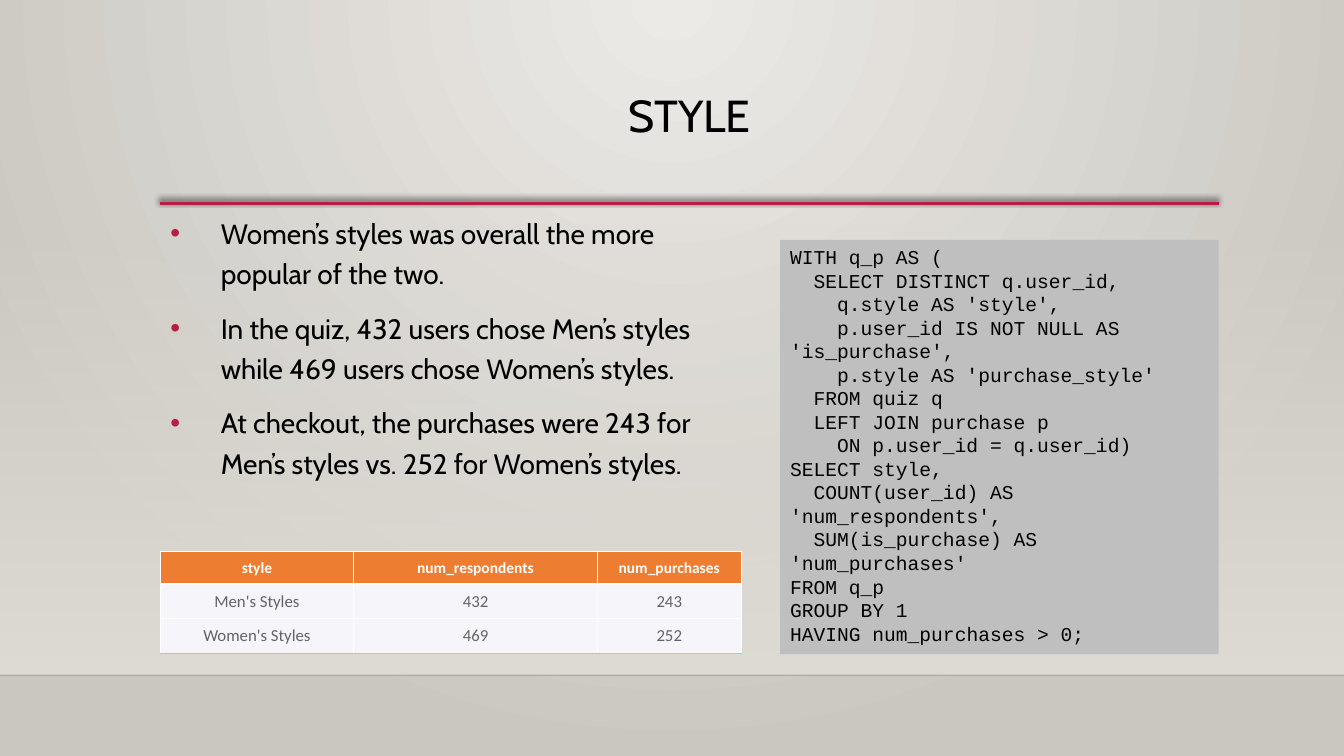
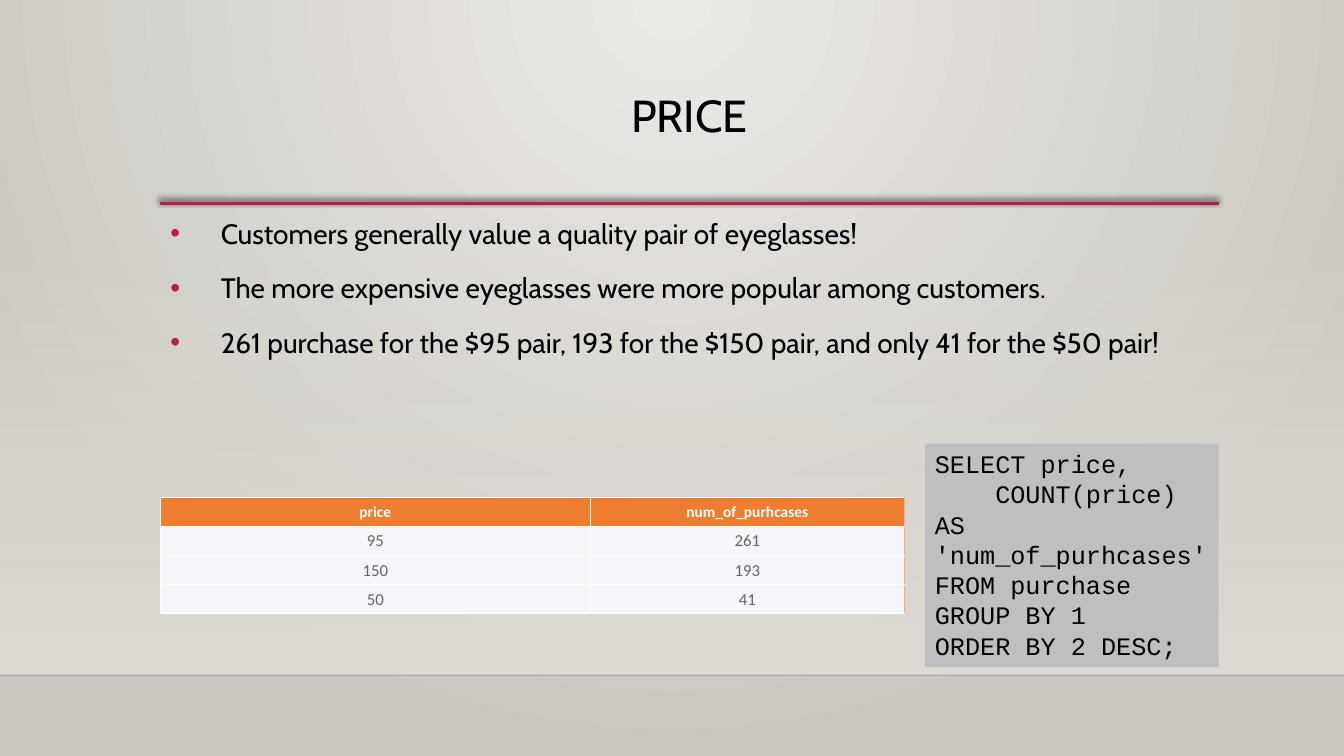
"""Build two slides of quiz and sales findings, each with a table and its query."""
from dataclasses import dataclass

import pptx
import pptx.dml.color
import pptx.enum.shapes
import pptx.enum.text
import pptx.oxml
import pptx.oxml.ns
import pptx.presentation
import pptx.shapes.base
import pptx.shapes.connector
import pptx.slide
import pptx.table
import pptx.text.text
import pptx.util

Pt = pptx.util.Pt
qn = pptx.oxml.ns.qn
ALIGN = pptx.enum.text.PP_ALIGN
ANCHOR = pptx.enum.text.MSO_ANCHOR
FIT = pptx.enum.text.MSO_AUTO_SIZE
SPACE = pptx.oxml.ns.nsdecls("a")

HEX = {
    "light": "ECEAE7", "dark": "CAC7C1", "band": "DFDBD5",
    "red": "B71E42", "black": "000000", "white": "FFFFFF",
    "code": "BFBFBF", "head": "ED7D31", "row": "F6F5FA",
    "grey": "646466", "peach": "F4B084",
}
WIDE, HIGH = 960, 540
LEFT, SPAN = 114.5, 756
FLOOR = 482.4
RULE = 145.4


@dataclass(frozen=True)
class Box:
    left: float
    top: float
    width: float
    height: float


@dataclass(frozen=True)
class Code:
    box: Box
    size: int
    lines: list[tuple[int, str]]


@dataclass(frozen=True)
class Grid:
    top: float
    cols: list[float]
    rows: list[float]
    cells: list[list[str]]
    edge: str


@dataclass(frozen=True)
class Page:
    title: str
    body: Box
    points: list[str]
    code: Code
    grid: Grid


PAGES = [
    Page(
        "STYLE",
        Box(LEFT, 146.2, 392.4, 199.4),
        [
            "Women’s styles was overall the more popular of the two.",
            "In the quiz, 432 users chose Men’s styles while 469 users chose Women’s styles.",
            "At checkout, the purchases were 243 for Men’s styles vs. 252 for Women’s styles.",
        ],
        Code(Box(557.2, 171.4, 313.3, 295.9), 14, [
            (0, "WITH q_p AS ("),
            (2, "SELECT DISTINCT q.user_id,"),
            (4, "q.style AS 'style',"),
            (4, "p.user_id IS NOT NULL AS 'is_purchase',"),
            (4, "p.style AS 'purchase_style'"),
            (2, "FROM quiz q"),
            (2, "LEFT JOIN purchase p"),
            (4, "ON p.user_id = q.user_id)"),
            (0, "SELECT style,"),
            (2, "COUNT(user_id) AS 'num_respondents',"),
            (2, "SUM(is_purchase) AS 'num_purchases'"),
            (0, "FROM q_p"),
            (0, "GROUP BY 1"),
            (0, "HAVING num_purchases > 0;"),
        ]),
        Grid(393.8, [138.2, 174, 102.8], [23.4, 24.6, 24.6], [
            ["style", "num_respondents", "num_purchases"],
            ["Men's Styles", "432", "243"],
            ["Women's Styles", "469", "252"],
        ], "B"),
    ),
    Page(
        "PRICE",
        Box(LEFT, 146.2, SPAN, 112.3),
        [
            "Customers generally value a quality pair of eyeglasses!",
            "The more expensive eyeglasses were more popular among customers.",
            "261 purchase for the $95 pair, 193 for the $150 pair, and only 41 for the $50 pair!",
        ],
        Code(Box(660.6, 316.8, 209.9, 159.8), 18, [
            (0, "SELECT price,"),
            (4, "COUNT(price) AS 'num_of_purhcases'"),
            (0, "FROM purchase"),
            (0, "GROUP BY 1"),
            (0, "ORDER BY 2 DESC;"),
        ]),
        Grid(355.6, [307.2, 224.4], [20.2, 20.9, 20.9, 20.5], [
            ["price", "num_of_purhcases"],
            ["95", "261"],
            ["150", "193"],
            ["50", "41"],
        ], "R"),
    ),
]


def tint(name: str) -> pptx.dml.color.RGBColor:
    return pptx.dml.color.RGBColor.from_string(HEX[name])


def node(text: str):
    head, tail = text.split(">", 1)
    slash = "/" if head.endswith("/") else ""
    return pptx.oxml.parse_xml(f"{head.rstrip('/')} {SPACE}{slash}>{tail}")


def place(shape: pptx.shapes.base.BaseShape, box: Box) -> None:
    shape.left, shape.top = Pt(box.left), Pt(box.top)
    shape.width, shape.height = Pt(box.width), Pt(box.height)


def style(para: pptx.text.text._Paragraph, face: str, size: float,
          color: str = "black", bold: bool = False) -> None:
    for run in para.runs:
        run.font.name, run.font.size = face, Pt(size)
        run.font.bold = bold
        run.font.color.rgb = tint(color)


def blend(root, first: str, last: str, alpha: int, way: str) -> None:
    old = root.find(".//" + qn("a:gradFill"))
    new = node(
        f'<a:gradFill rotWithShape="1"><a:gsLst><a:gs pos="0"><a:srgbClr val="{HEX[first]}">'
        f'<a:alpha val="{alpha * 1000}"/></a:srgbClr></a:gs>'
        f'<a:gs pos="100000"><a:srgbClr val="{HEX[last]}"/></a:gs></a:gsLst>{way}</a:gradFill>')
    old.getparent().replace(old, new)


def stroke(slide: pptx.slide.Slide, left: float, right: float, top: float,
           color: str, width: float, effect: str) -> pptx.shapes.connector.Connector:
    line = slide.shapes.add_connector(
        pptx.enum.shapes.MSO_CONNECTOR.STRAIGHT, Pt(left), Pt(top), Pt(right), Pt(top))
    line.line.color.rgb = tint(color)
    line.line.width = Pt(width)
    line.element.spPr.append(node(effect))
    return line


def frame(slide: pptx.slide.Slide, master: pptx.slide.SlideMaster) -> None:
    master.background.fill.gradient()
    blend(master.element, "light", "dark", 100,
          '<a:path path="circle"><a:fillToRect l="43000" r="43000" b="100000"/></a:path>')
    band = slide.shapes.add_shape(
        pptx.enum.shapes.MSO_SHAPE.RECTANGLE, 0, Pt(159), Pt(WIDE), Pt(FLOOR - 159))
    band.shadow.inherit = False
    band.line.fill.background()
    band.fill.gradient()
    blend(band.element, "band", "band", 0, '<a:lin ang="5400000" scaled="0"/>')
    floor = stroke(slide, 0, WIDE, FLOOR, "black", 1, "<a:effectLst/>")
    floor.element.find(".//" + qn("a:srgbClr")).append(node('<a:alpha val="20000"/>'))
    rule = stroke(
        slide, LEFT, LEFT + SPAN, RULE, "red", 2.5,
        f'<a:effectLst><a:outerShdw blurRad="{Pt(4)}" dist="{Pt(3)}" dir="14700000">'
        f'<a:srgbClr val="{HEX["black"]}"><a:alpha val="60000"/></a:srgbClr>'
        '</a:outerShdw></a:effectLst>')
    for spot, shape in enumerate((band, floor, rule), 2):
        master.shapes.element.insert(spot, shape.element)


def draw_title(slide: pptx.slide.Slide, text: str) -> None:
    title = slide.shapes.title
    place(title, Box(LEFT, 63.4, SPAN, 82.8))
    title.text_frame.text = text
    title.text_frame.auto_size = FIT.NONE
    title.text_frame.vertical_anchor = ANCHOR.TOP
    para = title.text_frame.paragraphs[0]
    para.alignment, para.line_spacing = ALIGN.CENTER, 0.9
    style(para, "Cabin", 32)


def draw_list(slide: pptx.slide.Slide, box: Box, points: list[str]) -> None:
    body = slide.placeholders[1]
    place(body, box)
    body.text_frame.text = "\n".join(points)
    body.text_frame.auto_size = FIT.NONE
    for para in body.text_frame.paragraphs:
        para.line_spacing = 1.2
        para.space_before, para.space_after = Pt(10), Pt(0)
        style(para, "Cabin", 20)
        props = para._p.get_or_add_pPr()
        props.set("marL", str(Pt(36)))
        props.set("indent", str(Pt(-36)))
        props.append(node(f'<a:buClr><a:srgbClr val="{HEX["red"]}"/></a:buClr>'))
        props.append(node('<a:buFont typeface="Arial"/>'))
        props.append(node('<a:buChar char="•"/>'))


def draw_code(slide: pptx.slide.Slide, code: Code) -> None:
    box = slide.shapes.add_textbox(0, 0, 0, 0)
    place(box, code.box)
    box.fill.solid()
    box.fill.fore_color.rgb = tint("code")
    box.text_frame.text = "\n".join(text for _, text in code.lines)
    box.text_frame.word_wrap = True
    box.text_frame.auto_size = FIT.SHAPE_TO_FIT_TEXT
    for para, (depth, _) in zip(box.text_frame.paragraphs, code.lines):
        style(para, "Courier New", code.size)
        para._p.get_or_add_pPr().set("indent", str(Pt(depth * code.size * 0.6)))


def draw_cell(cell: pptx.table._Cell, text: str, head: bool, edge: str) -> None:
    cell.text_frame.text = text
    cell.vertical_anchor = ANCHOR.MIDDLE
    cell.margin_left = cell.margin_right = cell.margin_top = Pt(0.7)
    cell.margin_bottom = 0
    para = cell.text_frame.paragraphs[0]
    para.alignment = ALIGN.CENTER
    style(para, "Calibri", 11 if head else 12, "white" if head else "grey", head)
    for side in "LRTB":
        color, width = ("peach", 0.5) if side == edge else ("white", 1)
        cell._tc.get_or_add_tcPr().append(node(
            f'<a:ln{side} w="{Pt(width)}"><a:solidFill><a:srgbClr val="{HEX[color]}"/>'
            f'</a:solidFill></a:ln{side}>'))
    cell.fill.solid()
    cell.fill.fore_color.rgb = tint("head" if head else "row")


def draw_grid(slide: pptx.slide.Slide, grid: Grid) -> None:
    table = slide.shapes.add_table(
        len(grid.rows), len(grid.cols), Pt(LEFT), Pt(grid.top),
        Pt(sum(grid.cols)), Pt(sum(grid.rows))).table
    table.horz_banding = False
    for col, width in zip(table.columns, grid.cols):
        col.width = Pt(width)
    for row, height in zip(table.rows, grid.rows):
        row.height = Pt(height)
    last = {"B": len(grid.rows) - 1, "R": len(grid.cols) - 1}[grid.edge]
    for y, texts in enumerate(grid.cells):
        for x, text in enumerate(texts):
            spot = y if grid.edge == "B" else x
            draw_cell(table.cell(y, x), text, y == 0, grid.edge if spot == last else "")


def draw_page(deck: pptx.presentation.Presentation, page: Page) -> None:
    slide = deck.slides.add_slide(deck.slide_layouts[1])
    draw_title(slide, page.title)
    draw_code(slide, page.code)
    draw_list(slide, page.body, page.points)
    draw_grid(slide, page.grid)


def main() -> None:
    deck = pptx.Presentation()
    deck.slide_width, deck.slide_height = Pt(WIDE), Pt(HIGH)
    for page in PAGES:
        draw_page(deck, page)
    frame(deck.slides[0], deck.slide_master)
    deck.save("out.pptx")


if __name__ == "__main__":
    main()
